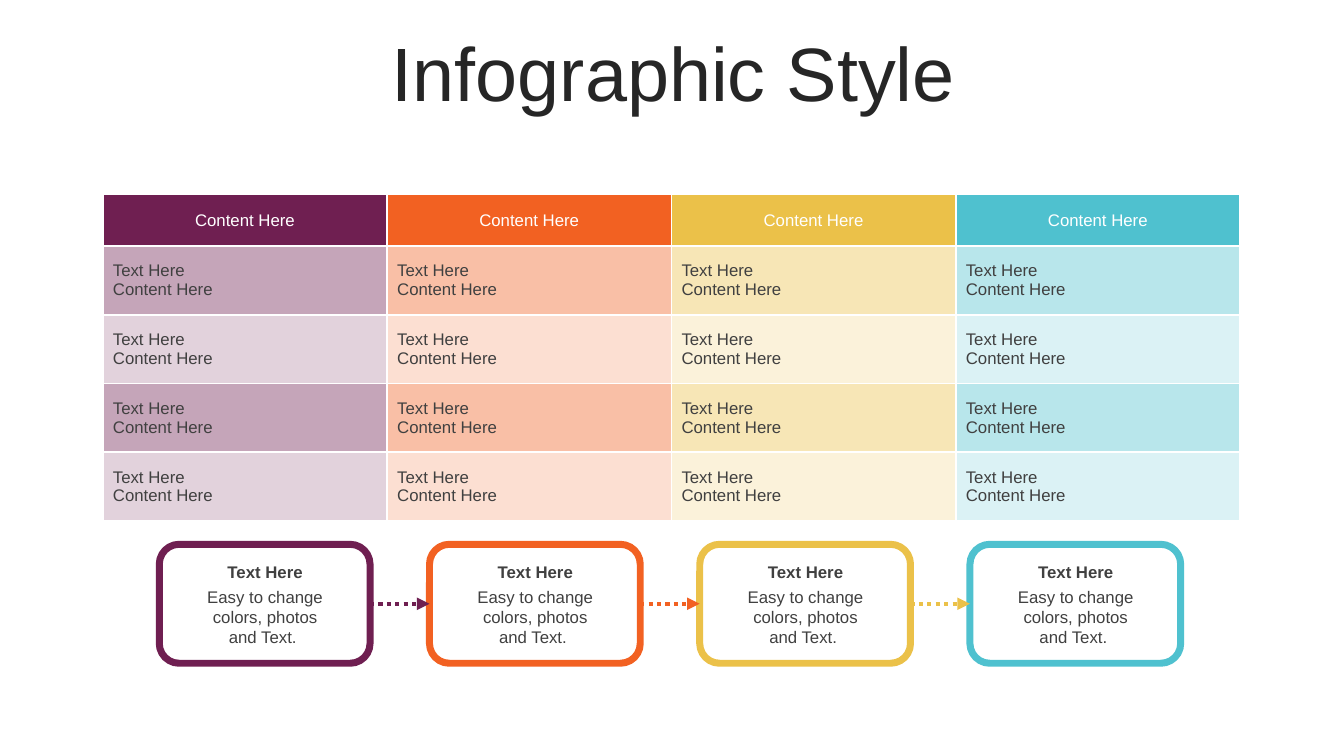
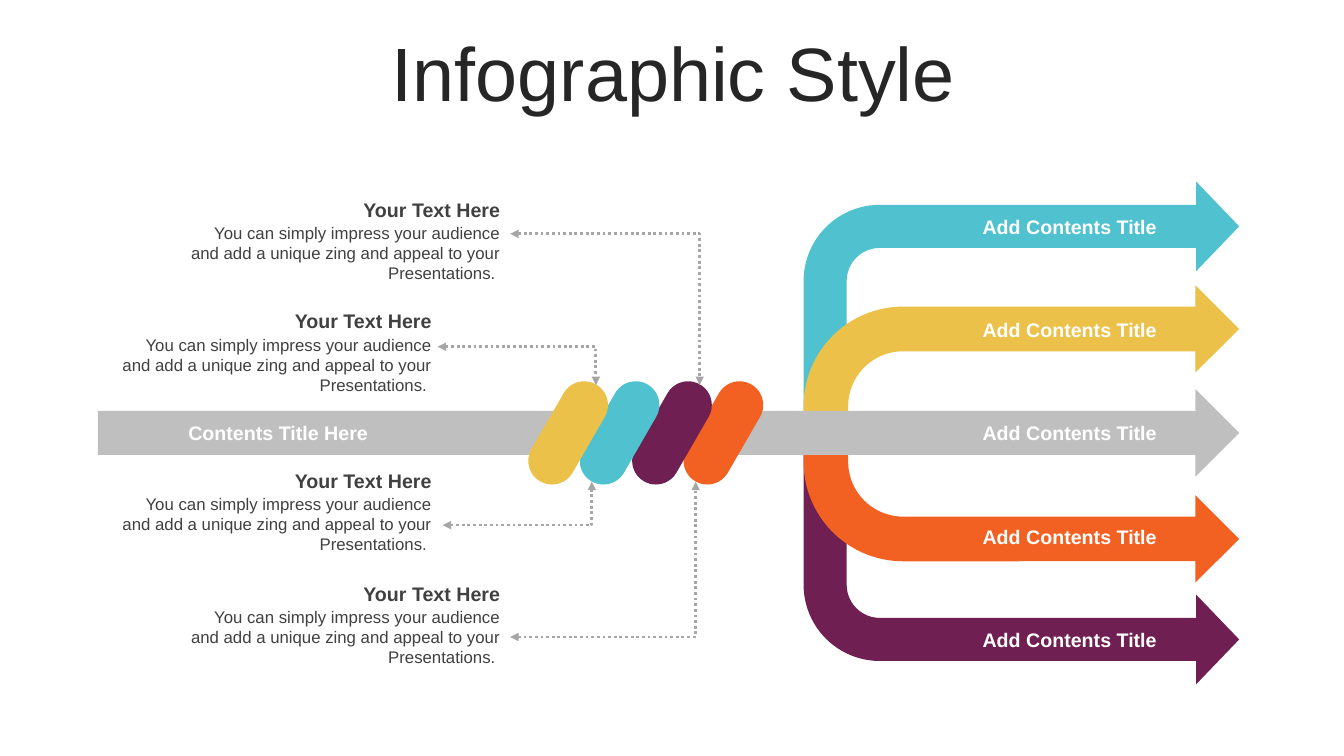
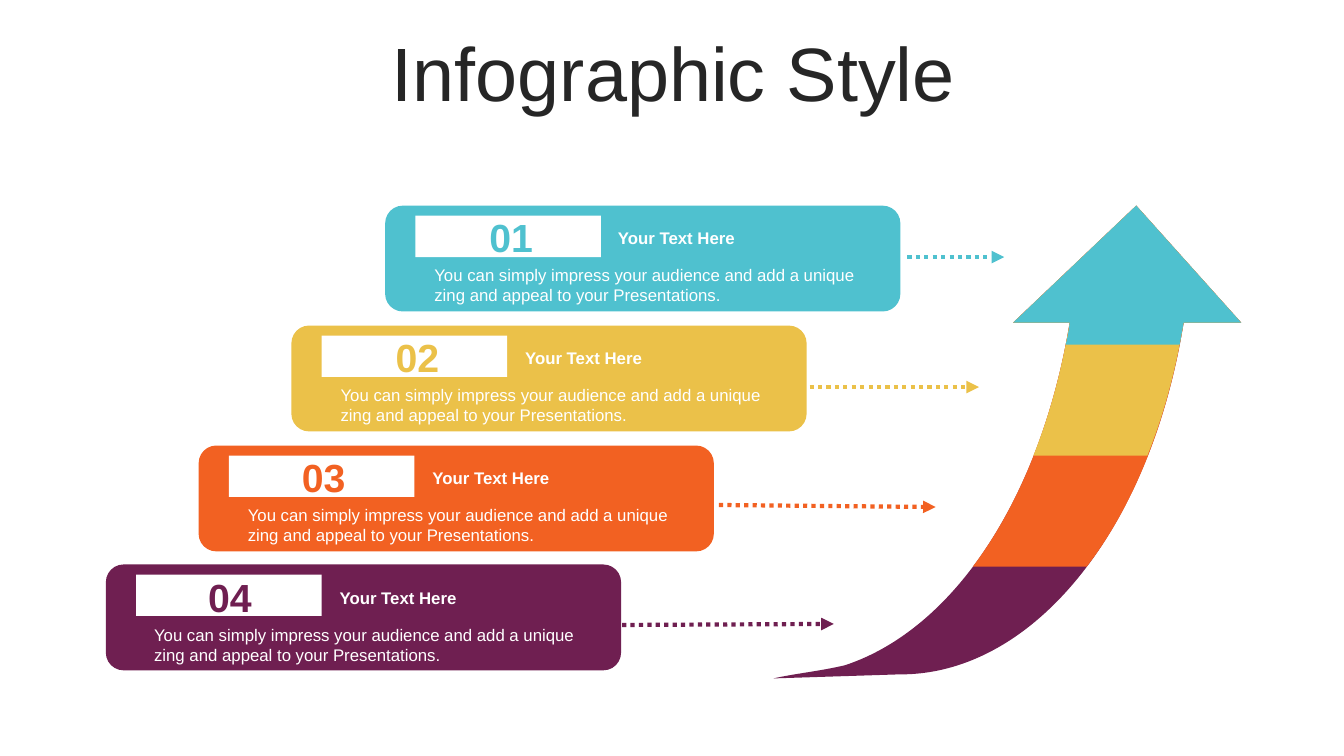
import pptx
import pptx.util
import pptx.dml.color
import pptx.enum.dml
import pptx.enum.shapes
import pptx.enum.text
import pptx.oxml
import pptx.oxml.ns
import lxml.etree

Inches = pptx.util.Inches
Pt = pptx.util.Pt
RGBColor = pptx.dml.color.RGBColor
MSO_SHAPE = pptx.enum.shapes.MSO_SHAPE
MSO_CONNECTOR = pptx.enum.shapes.MSO_CONNECTOR
PP_ALIGN = pptx.enum.text.PP_ALIGN
MSO_ANCHOR = pptx.enum.text.MSO_ANCHOR
MSO_AUTO_SIZE = pptx.enum.text.MSO_AUTO_SIZE
qn = pptx.oxml.ns.qn

# Shared look
FONT = "Arial"
PLUM = RGBColor(0x6F, 0x1F, 0x51)
ORANGE = RGBColor(0xF2, 0x61, 0x22)
YELLOW = RGBColor(0xEB, 0xC1, 0x49)
TEAL = RGBColor(0x4F, 0xC1, 0xCF)
WHITE = RGBColor(0xFF, 0xFF, 0xFF)
INK = RGBColor(0x26, 0x26, 0x26)
TEXT = RGBColor(0x40, 0x40, 0x40)
BAND = RGBColor(0xBF, 0xBF, 0xBF)
GREY = RGBColor(0xA6, 0xA6, 0xA6)
COLORS = [PLUM, ORANGE, YELLOW, TEAL]
PITCH = ("You can simply impress your audience and add a unique zing "
         "and appeal to your Presentations. ")


def add_text(s, x, y, w, h, text, size, color, bold=False, align=PP_ALIGN.CENTER):
    box = s.shapes.add_textbox(Inches(x), Inches(y), Inches(w), Inches(h))
    tf = box.text_frame
    tf.word_wrap = True
    tf.auto_size = MSO_AUTO_SIZE.SHAPE_TO_FIT_TEXT
    p = tf.paragraphs[0]
    p.alignment = align
    r = p.add_run()
    r.text = text
    r.font.name = FONT
    r.font.size = Pt(size)
    r.font.bold = bold
    r.font.color.rgb = color


def add_arrow(s, kind, x1, y1, x2, y2, color, width, ends=("tailEnd",)):
    c = s.shapes.add_connector(kind, Inches(x1), Inches(y1), Inches(x2), Inches(y2))
    c.line.color.rgb = color
    c.line.width = Pt(width)
    c.line.dash_style = pptx.enum.dml.MSO_LINE.ROUND_DOT
    spPr = c._element.spPr
    for end in ends:
        lxml.etree.SubElement(spPr.find(qn("a:ln")), qn("a:" + end), type="triangle")
    lxml.etree.SubElement(spPr, qn("a:effectLst"))
    return c


prs = pptx.Presentation()
prs.slide_width = Inches(13.33)
prs.slide_height = Inches(7.5)

# Slides with their common title
slides = []
for _ in range(3):
    s = prs.slides.add_slide(prs.slide_layouts[5])
    title = s.shapes.title
    title.left, title.top = Inches(0.35), Inches(0.37)
    title.width, title.height = Inches(12.66), Inches(0.79)
    tf = title.text_frame
    tf.auto_size = MSO_AUTO_SIZE.NONE
    tf.vertical_anchor = MSO_ANCHOR.MIDDLE
    p = tf.paragraphs[0]
    p.alignment = PP_ALIGN.CENTER
    p.line_spacing = 0.9
    r = p.add_run()
    r.text = "Infographic Style"
    r.font.name = FONT
    r.font.size = Pt(54)
    r.font.color.rgb = INK
    slides.append(s)
table_slide, flow_slide, steps_slide = slides

# Slide 1: table with one colour per column
s = table_slide
table = s.shapes.add_table(5, 4, Inches(1.02), Inches(1.93), Inches(11.28), Inches(3.24)).table
table.first_row = table.horz_banding = False
for i, row in enumerate(table.rows):
    row.height = Inches((3.24 - 0.51) / 4 if i else 0.51)
    for cell, color in zip(row.cells, COLORS):
        tcPr = cell._tc.get_or_add_tcPr()
        for side in ("lnL", "lnR", "lnT", "lnB"):
            ln = lxml.etree.SubElement(tcPr, qn("a:" + side), w=str(Pt(1.5)))
            fill = lxml.etree.SubElement(ln, qn("a:solidFill"))
            lxml.etree.SubElement(fill, qn("a:srgbClr"), val=str(WHITE))
        cell.fill.solid()
        cell.fill.fore_color.rgb = color
        if i:
            clr = tcPr.find(qn("a:solidFill")).find(qn("a:srgbClr"))
            lxml.etree.SubElement(clr, qn("a:alpha"), val="40000" if i % 2 else "20000")
        cell.vertical_anchor = MSO_ANCHOR.MIDDLE
        tf = cell.text_frame
        for j, line in enumerate(["Text Here", "Content Here"] if i else ["Content Here"]):
            p = tf.add_paragraph() if j else tf.paragraphs[0]
            p.alignment = PP_ALIGN.LEFT if i else PP_ALIGN.CENTER
            r = p.add_run()
            r.text = line
            r.font.name = FONT
            r.font.size = Pt(12)
            r.font.bold = False
            r.font.color.rgb = TEXT if i else WHITE

# Slide 1: chain of outlined boxes
boxes = []
for i, color in enumerate(COLORS):
    x = 1.58 + 2.68 * i
    sp = s.shapes.add_shape(MSO_SHAPE.ROUNDED_RECTANGLE,
                            Inches(x), Inches(5.4), Inches(2.09), Inches(1.18))
    sp.shadow.inherit = False
    sp.fill.solid()
    sp.fill.fore_color.rgb = WHITE
    sp.line.color.rgb = color
    sp.line.width = Pt(5)
    boxes.append(sp)
    add_text(s, x + 0.3, 5.77, 1.5, 0.71, "Easy to change colors, photos and Text. ", 12, TEXT)
    add_text(s, x + 0.3, 5.52, 1.5, 0.3, "Text Here", 12, TEXT, True)
for left, right, color in zip(boxes, boxes[1:], COLORS):
    c = add_arrow(s, MSO_CONNECTOR.STRAIGHT, 0, 0, 1, 0, color, 3)
    c.begin_connect(left, 3)
    c.end_connect(right, 1)

# Slide 2: branching arrows, centre band and slanted pills
s = flow_slide
OUTER = (0.185, 0.193, 0.185, 0.327)
INNER = (0.343, 0.336, 0.337, 0.765)
BENT = MSO_SHAPE.BENT_ARROW
PILL = MSO_SHAPE.ROUNDED_RECTANGLE
parts = [
    (BENT, 7.97, 1.8, 4.32, 2.31, TEAL, OUTER, False, 0),
    (BENT, 7.97, 4.48, 4.32, 2.31, PLUM, OUTER, True, 0),
    (BENT, 7.97, 2.83, 4.32, 1.29, YELLOW, INNER, False, 0),
    (BENT, 7.97, 4.49, 4.32, 1.29, ORANGE, INNER, True, 0),
    (MSO_SHAPE.RIGHT_ARROW, 0.97, 3.86, 11.32, 0.87, BAND, (), False, 0),
]
for x, color in zip((6.94, 6.43, 5.91, 5.4), (ORANGE, PLUM, TEAL, YELLOW)):
    parts.append((PILL, x, 3.74, 0.47, 1.11, color, (0.5,), False, 30))
for kind, x, y, w, h, color, adjustments, flipped, angle in parts:
    sp = s.shapes.add_shape(kind, Inches(x), Inches(y), Inches(w), Inches(h))
    sp.shadow.inherit = False
    sp.fill.solid()
    sp.fill.fore_color.rgb = color
    sp.line.fill.background()
    sp.rotation = angle
    for i, value in enumerate(adjustments):
        sp.adjustments[i] = value
    if flipped:
        sp._element.spPr.find(qn("a:xfrm")).set("flipV", "1")

# Slide 2: labels on the arrows
for y in (2.08, 3.11, 4.13, 5.16, 6.18):
    add_text(s, 9.4, y, 2.42, 0.34, "Add Contents Title", 14, WHITE, True)
add_text(s, 1.24, 4.13, 3.04, 0.34, "Contents Title Here", 14, WHITE, True)

# Slide 2: notes, each with an elbow from the note to its pill
notes = [
    (1.72, 1.91, (5.06, 2.32, 6.94, 3.82)),
    (1.04, 3.02, (4.34, 3.44, 5.91, 3.82)),
    (1.04, 4.6, (4.39, 5.21, 5.87, 4.78)),
    (1.72, 5.72, (5.06, 6.32, 6.9, 4.78)),
]
for x, y, elbow in notes:
    add_text(s, x, y + 0.25, 3.34, 0.71, PITCH, 12, TEXT, align=PP_ALIGN.RIGHT)
    add_text(s, x, y, 3.34, 0.34, "Your Text Here", 14, TEXT, True, PP_ALIGN.RIGHT)
    c = add_arrow(s, MSO_CONNECTOR.ELBOW, *elbow, GREY, 2, ("headEnd", "tailEnd"))
    c._element.spPr.find(qn("a:prstGeom")).set("prst", "bentConnector2")

# Slide 3: rising arrow in stacked layers, the tallest at the back
# Two numbers are a corner; six are a Bézier curve's two controls and its end
s = steps_slide
layers = [
    (PLUM, [(11.4, 5.3, 10.22, 6.7, 8.92, 6.69), (7.67, 6.73),
            (7.9, 6.68, 8.12, 6.66, 8.38, 6.6), (9.47, 6.24, 10.33, 4.92, 10.61, 3.2)]),
    (ORANGE, [(11.58, 4.19, 11.24, 5.02, 10.78, 5.62), (9.65, 5.62),
              (10.11, 5.01, 10.45, 4.17, 10.61, 3.2)]),
    (YELLOW, [(11.66, 3.68, 11.54, 4.12, 11.38, 4.52), (10.25, 4.52),
              (10.41, 4.12, 10.53, 3.68, 10.61, 3.2)]),
    (TEAL, [(11.7, 3.42), (10.57, 3.42), (10.59, 3.35, 10.6, 3.28, 10.61, 3.2)]),
]
for color, stem in layers:
    segments = [(12.31, 3.2), (11.74, 3.2), *stem, (10.05, 3.2)]
    outline = s.shapes.build_freeform(Inches(11.27), Inches(2.04))
    outline.add_line_segments([(Inches(g[-2]), Inches(g[-1])) for g in segments], close=True)
    sp = outline.convert_to_shape()
    sp.shadow.inherit = False
    sp.fill.solid()
    sp.fill.fore_color.rgb = color
    sp.line.fill.background()
    # Bend the six-number segments
    for line, segment in zip(list(sp._element.iter(qn("a:lnTo"))), segments):
        if len(segment) == 6:
            curve = lxml.etree.Element(qn("a:cubicBezTo"))
            for x, y in zip(segment[::2], segment[1::2]):
                lxml.etree.SubElement(curve, qn("a:pt"), x=str(Inches(x) - sp.left),
                                      y=str(Inches(y) - sp.top))
            line.getparent().replace(line, curve)

# Slide 3: numbered cards with pointers
cards = [
    ("01", TEAL, 3.82, 2.04, 4.21, (9, 2.55, 9.96, 2.55)),
    ("02", YELLOW, 2.89, 3.23, 3.28, (8.03, 3.84, 9.71, 3.84)),
    ("03", ORANGE, 1.97, 4.42, 2.36, (7.13, 5.01, 9.28, 5.03)),
    ("04", PLUM, 1.05, 5.6, 1.43, (6.17, 6.2, 8.27, 6.19)),
]
for i, (number, color, x, y, body_x, pointer) in enumerate(cards):
    drop = 1.19 * i
    for kind, dx, dy, w, h, fill in (
            (MSO_SHAPE.ROUNDED_RECTANGLE, 0, 0, 5.11, 1.05, color),
            (MSO_SHAPE.RECTANGLE, 0.3, 0.1, 1.84, 0.41, WHITE)):
        sp = s.shapes.add_shape(kind, Inches(x + dx), Inches(y + dy), Inches(w), Inches(h))
        sp.shadow.inherit = False
        sp.fill.solid()
        sp.fill.fore_color.rgb = fill
        sp.line.fill.background()
    add_text(s, 4.65 - 0.93 * i, 2.07 + drop, 0.84, 0.57, number, 28, color, True)
    add_text(s, 6.03 - 0.92 * i, 2.21 + drop, 1.69, 0.3, "Your Text Here", 12, WHITE, True,
             PP_ALIGN.LEFT)
    add_text(s, body_x, 2.58 + drop, 4.44, 0.5, PITCH.strip(), 12, WHITE, align=PP_ALIGN.LEFT)
    add_arrow(s, MSO_CONNECTOR.STRAIGHT, *pointer, color, 3)

prs.save("out.pptx")
